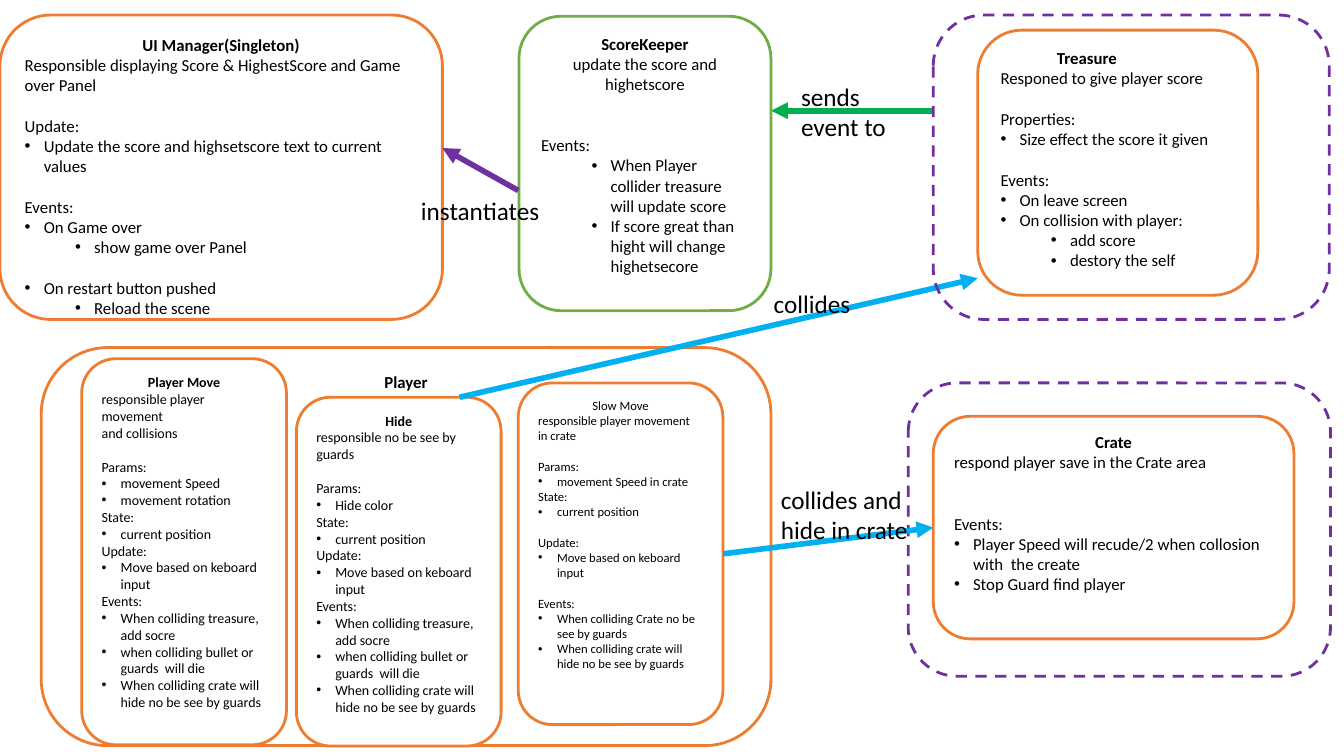
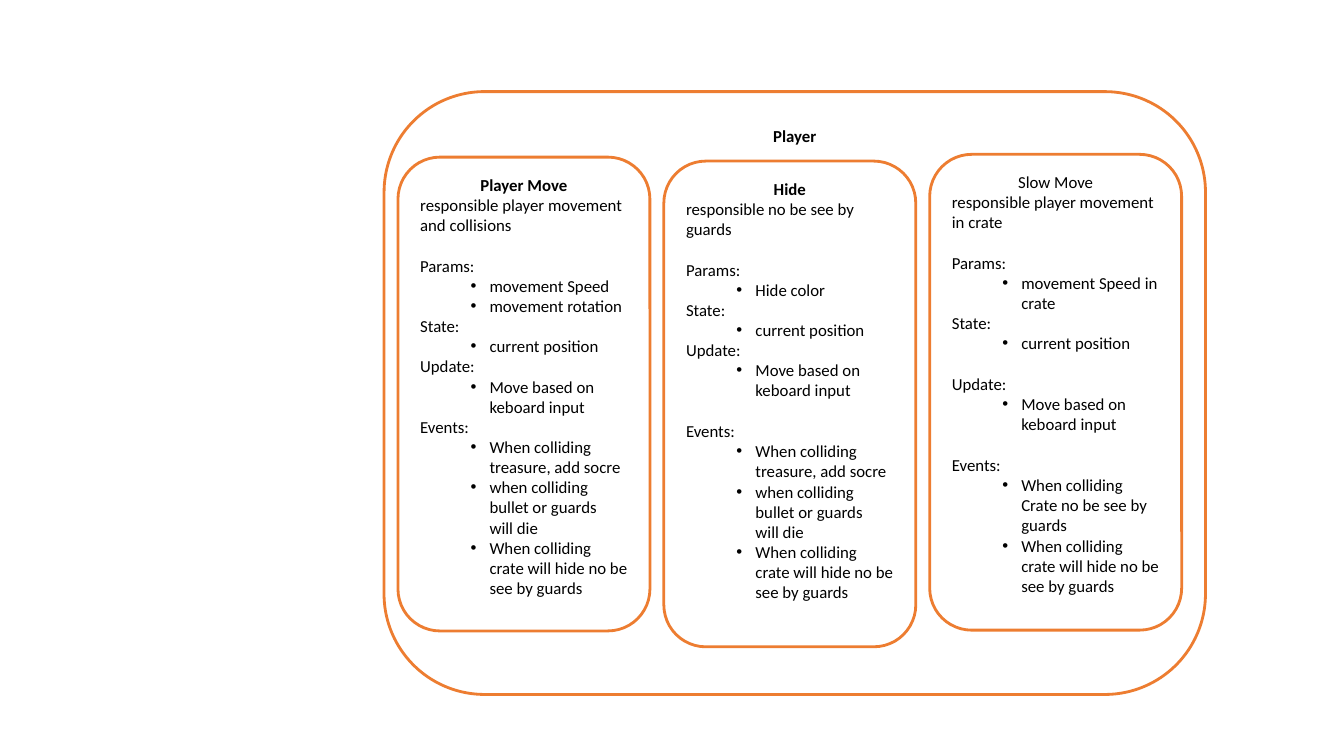
from dataclasses import dataclass

from lxml import etree
from pptx import Presentation
from pptx.dml.color import RGBColor
from pptx.enum import dml, shapes, text
from pptx.oxml import ns
from pptx.util import Cm, Pt

COLORS = {
    "text": "000000",
    "paper": "FFFFFF",
    "orange": "ED7D31",
    "green": "70AD47",
    "purple": "7030A0",
    "event": "00B050",
    "collision": "00B0F0",
}
FONT = "Calibri"
LINE_HEIGHT = 1.22
HANGING = 0.48
SUB_INDENT = 1.75


@dataclass
class Line:
    text: str
    bold: bool = False
    centered: bool = False
    bullet: int = 0
    gap: int = 0
    indent: float = 0


def heading(words, bold=True):
    return Line(words, bold=bold, centered=True)


def points(*items, level=1):
    return [Line(item, bullet=level) for item in items]


def color(name):
    return RGBColor.from_string(COLORS[name])


def add_bullet(paragraph, level):
    paragraph.level = level - 1
    properties = paragraph._p.get_or_add_pPr()
    margin = HANGING if level == 1 else SUB_INDENT
    properties.set("marL", str(Cm(margin)))
    properties.set("indent", str(-Cm(HANGING)))
    etree.SubElement(properties, ns.qn("a:buFont")).set("typeface", "Arial")
    etree.SubElement(properties, ns.qn("a:buChar")).set("char", "•")


def write_lines(text_frame, lines, size):
    text_frame.text = "\n".join(line.text for line in lines)
    for paragraph, line in zip(text_frame.paragraphs, lines):
        paragraph.alignment = text.PP_ALIGN.CENTER if line.centered else text.PP_ALIGN.LEFT
        if line.gap:
            paragraph.space_before = Pt(round(line.gap * size * LINE_HEIGHT, 1))
        if line.indent:
            paragraph._p.get_or_add_pPr().set("indent", str(Cm(line.indent)))
        if line.bullet:
            add_bullet(paragraph, line.bullet)
        for run in paragraph.runs:
            run.font.name = FONT
            run.font.size = Pt(size)
            run.font.bold = line.bold
            run.font.color.rgb = color("text")


def add_outline(slide, box, line_color):
    shape = slide.shapes.add_shape(
        shapes.MSO_SHAPE.ROUNDED_RECTANGLE, *(Cm(length) for length in box))
    shape.shadow.inherit = False
    shape.line.color.rgb = color(line_color)
    shape.line.width = Pt(2)
    return shape


def add_card(slide, box, lines, size=12, line_color="orange"):
    shape = add_outline(slide, box, line_color)
    shape.fill.solid()
    shape.fill.fore_color.rgb = color("paper")
    shape.text_frame.word_wrap = True
    shape.text_frame.vertical_anchor = text.MSO_ANCHOR.TOP
    write_lines(shape.text_frame, lines, size)
    return shape


def add_zone(slide, box):
    shape = add_outline(slide, box, "purple")
    shape.fill.background()
    shape.line.dash_style = dml.MSO_LINE.DASH


def add_label(slide, box, *words):
    label = slide.shapes.add_textbox(*(Cm(length) for length in box))
    label.text_frame.word_wrap = False
    write_lines(label.text_frame, [Line(word) for word in words], 18)


def add_arrow(slide, start, end, line_color):
    arrow = slide.shapes.add_connector(
        shapes.MSO_CONNECTOR.STRAIGHT, *(Cm(length) for length in start + end))
    arrow.line.color.rgb = color(line_color)
    arrow.line.width = Pt(4)
    etree.SubElement(arrow.line._get_or_add_ln(), ns.qn("a:tailEnd")).set("type", "triangle")
    etree.SubElement(arrow._element.spPr, ns.qn("a:effectLst"))
    return arrow


def ability_lines(level, hide_gap):
    def bullets(*items):
        return points(*items, level=level)

    position = [Line("State:"), *bullets("current position")]
    keyboard = bullets("Move based on keboard input")
    collisions = bullets(
        "When colliding treasure, add socre",
        "when colliding bullet or guards  will die",
        "When colliding crate will hide no be see by guards")
    move = [
        heading("Player Move"), Line("responsible player movement"), Line("and collisions"),
        Line("Params:", gap=1), *bullets("movement Speed", "movement rotation"),
        *position, Line("Update:"), *keyboard, Line("Events:"), *collisions]
    hide = [
        heading("Hide"), Line("responsible no be see by guards"),
        Line("Params:", gap=1), *bullets("Hide color"),
        *position, Line("Update:"), *keyboard, Line("Events:", gap=hide_gap), *collisions]
    slow = [
        heading("Slow Move", bold=False), Line("responsible player movement"), Line("in crate"),
        Line("Params:", gap=1), *bullets("movement Speed in crate"),
        *position, Line("Update:", gap=1), *keyboard, Line("Events:", gap=1),
        *bullets("When colliding Crate no be see by guards",
                 "When colliding crate will hide no be see by guards")]
    return move, hide, slow


def add_player(slide, player_box, ability_boxes, sizes, level, hide_gap):
    add_card(slide, player_box, [heading("Player")])
    abilities = ability_lines(level, hide_gap)
    return [add_card(slide, box, lines, size)
            for box, lines, size in zip(ability_boxes, abilities, sizes)]


def build_overview(slide):
    add_card(slide, (0, 0.38, 11.15, 7.67), [
        heading("UI Manager(Singleton)"),
        Line("Responsible displaying Score & HighestScore and Game over Panel"),
        Line("Update:", gap=1),
        *points("Update the score and highsetscore text to current values"),
        Line("Events:", gap=1),
        *points("On Game over"), *points("show game over Panel", level=2),
        Line("On restart button pushed", bullet=1, gap=1),
        *points("Reload the scene", level=2)])
    add_card(slide, (24.64, 0.76, 7.06, 6.68), [
        Line("Treasure", bold=True, indent=1.42),
        Line("Responed to give player score"),
        Line("Properties:", gap=1), *points("Size effect the score it given"),
        Line("Events:", gap=1), *points("On leave screen", "On collision with player:"),
        *points("add score", "destory the self", level=2)])
    add_arrow(slide, (23.52, 2.79), (19.43, 2.79), "event")

    ability_boxes = [(2.06, 9.04, 5.16, 9.73), (7.47, 10.01, 5.16, 8.79), (13.06, 9.65, 5.16, 8.61)]
    slow_move = add_player(
        slide, (1.04, 8.76, 18.39, 10.03), ability_boxes, (10, 10, 9), level=1, hide_gap=0)[-1]
    add_arrow(slide, (11.58, 10.01), (24.64, 7.01), "collision")
    add_zone(slide, (23.52, 0.38, 9.98, 7.67))
    add_label(slide, (19.25, 7.14, 2.44, 1.02), "collides")
    add_label(slide, (19.94, 1.93, 2.67, 1.8), "sends", "event to")

    crate = add_card(slide, (23.52, 10.49, 9.09, 5.61), [
        heading("Crate"), Line("respond player save in the Crate area"),
        Line("Events:", gap=2),
        *points("Player Speed will recude/2 when collosion with  the create",
                "Stop Guard find player")])
    add_zone(slide, (22.89, 9.65, 10.64, 7.39))
    crate_arrow = add_arrow(slide, (18.22, 13.96), (23.52, 13.3), "collision")
    crate_arrow.begin_connect(slow_move, 3)
    crate_arrow.end_connect(crate, 1)
    add_label(slide, (19.43, 12.07, 3.71, 1.8), "collides and", "hide in crate")

    add_card(slide, (13.08, 0.41, 6.35, 7.42), [
        heading("ScoreKeeper"), heading("update the score and highetscore", bold=False),
        Line("Events:", gap=2),
        *points("When Player collider treasure  will update score",
                "If score great than hight will change highetsecore", level=2)],
        line_color="green")
    add_arrow(slide, (13.06, 4.8), (11.15, 3.73), "purple")
    add_label(slide, (10.36, 4.8, 3.48, 1.02), "instantiates")


def build_player_detail(slide):
    extents = [(3.96, 11.94), (4.06, 12.24), (3.89, 11.99)]
    ability_boxes = [(10.03 + 6.7 * column, top, 6.35, height)
                     for column, (top, height) in enumerate(extents)]
    add_player(slide, (9.68, 2.31, 20.7, 15.19), ability_boxes, (12, 12, 12), level=2, hide_gap=1)


def main():
    presentation = Presentation()
    presentation.slide_width = Cm(33.87)
    presentation.slide_height = Cm(19.05)
    blank_layout = presentation.slide_layouts.get_by_name("Blank")
    for build in (build_overview, build_player_detail):
        build(presentation.slides.add_slide(blank_layout))
    presentation.save("out.pptx")


if __name__ == "__main__":
    main()
